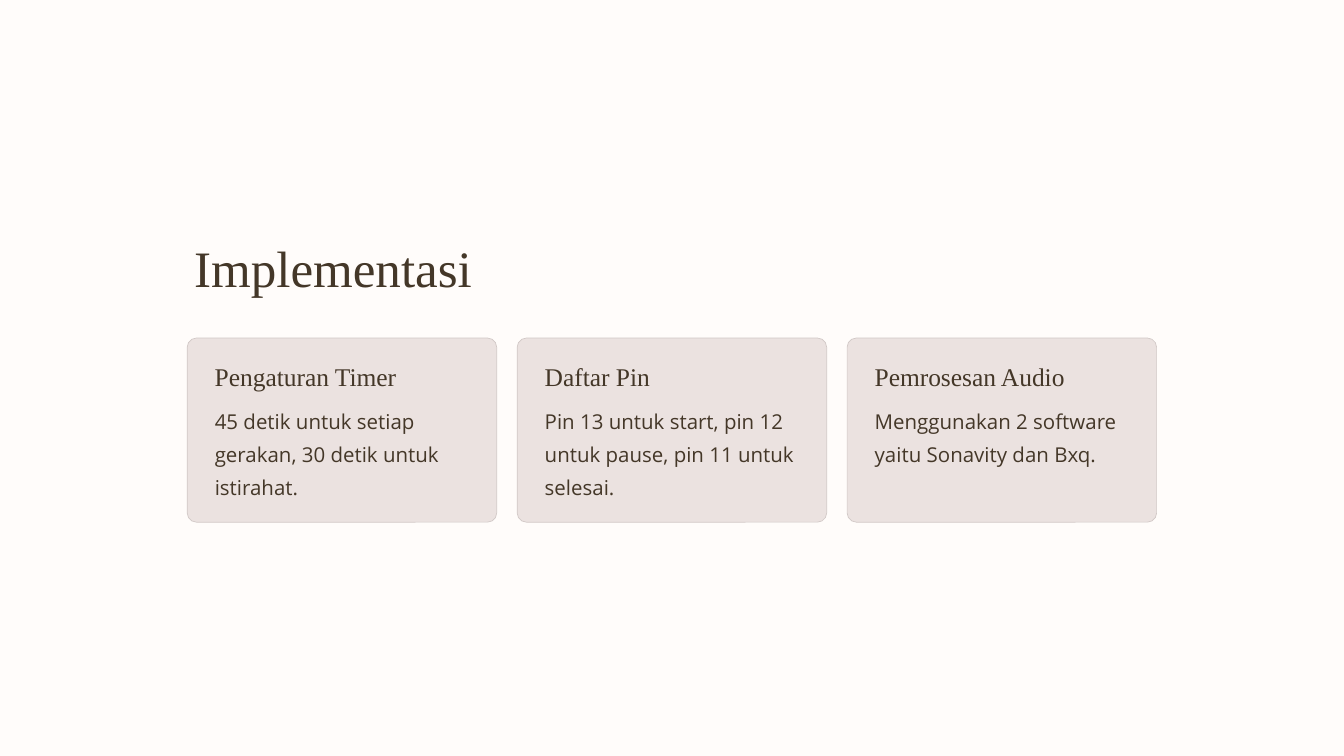
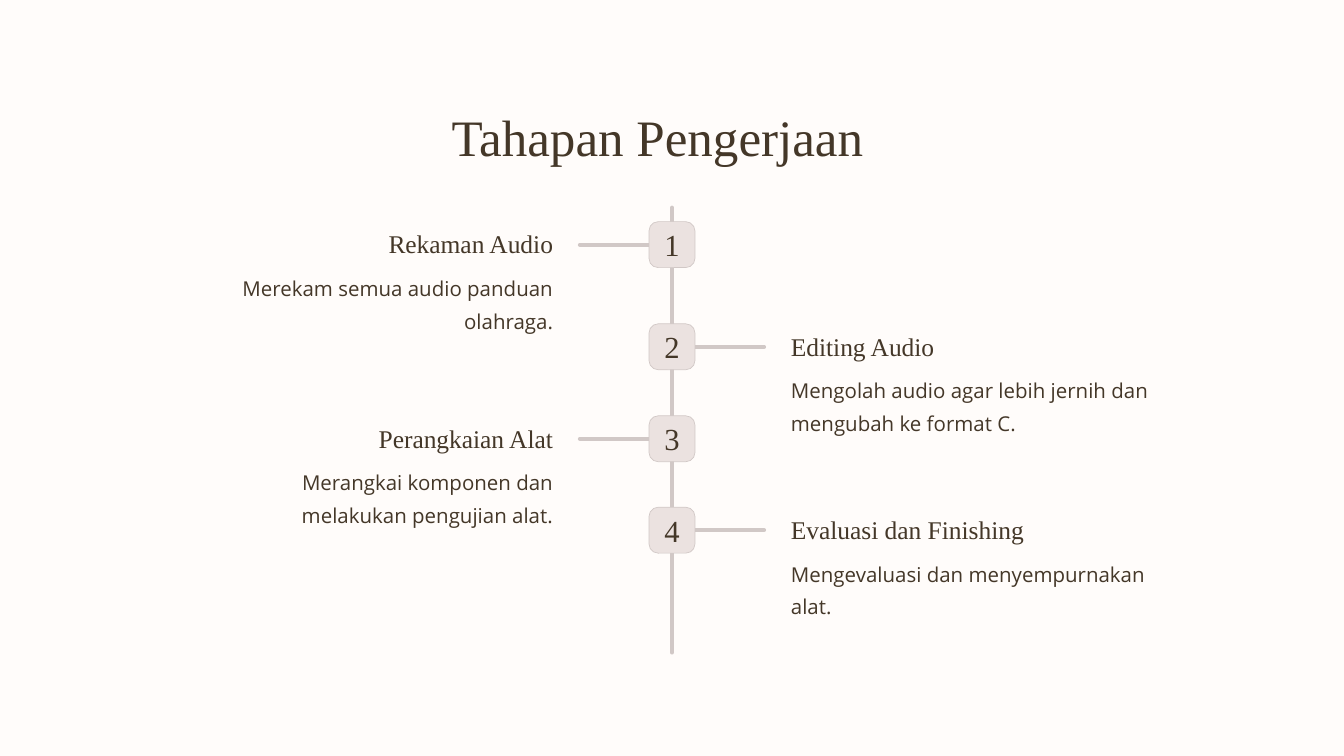
"""Build two slides: the implementation cards and the timeline of work stages."""
from lxml import etree
from pptx import Presentation, util as u
from pptx.dml.color import RGBColor
from pptx.enum import shapes, text
from pptx.oxml import ns

WIDTH, HEIGHT = u.Inches(20), u.Inches(11.25)
COLORS = {"background": "FFFCFA", "panel": "EBE2E0", "line": "D1C8C6", "ink": "443728"}
SERIF, SANS = "Times New Roman", "Open Sans"
STYLES = {
    "title": (SERIF, 54.7, 68.3),
    "heading": (SERIF, 27.3, 34.2),
    "body": (SANS, 21.9, 35),
    "number": (SERIF, 32.8, 41),
}
LEFT, CENTER, RIGHT = text.PP_ALIGN.LEFT, text.PP_ALIGN.CENTER, text.PP_ALIGN.RIGHT

HEADING_WIDTH, HEADING_HEIGHT, BODY_DROP = 18, 3.64, 5.42
CARD_LEFT, CARD_TOP, CARD_WIDTH, CARD_HEIGHT, CARD_PITCH = 13.93, 44.71, 23.03, 24.36, 24.55
CARD_PAD_X, CARD_PAD_Y, CARD_BODY_WIDTH = 2.05, 2.93, 18.9
AXIS, TILE_WIDTH, TILE_HEIGHT = 50, 3.42, 6.08
BRANCH_REACH, TEXT_REACH, STAGE_BODY_WIDTH = 6.85, 8.85, 26.7

CARDS = [
    ("Pengaturan Timer", "45 detik untuk setiap gerakan, 30 detik untuk istirahat."),
    ("Daftar Pin", "Pin 13 untuk start, pin 12 untuk pause, pin 11 untuk selesai."),
    ("Pemrosesan Audio", "Menggunakan 2 software yaitu Sonavity dan Bxq."),
]
STAGES = [
    (32.36, "Rekaman Audio", "Merekam semua audio panduan olahraga."),
    (45.87, "Editing Audio", "Mengolah audio agar lebih jernih dan mengubah ke format C."),
    (58.04, "Perangkaian Alat", "Merangkai komponen dan melakukan pengujian alat."),
    (70.13, "Evaluasi dan Finishing", "Mengevaluasi dan menyempurnakan alat."),
]


def color(name):
    """Return a named colour."""
    return RGBColor.from_string(COLORS[name])


def col(share):
    """Turn a percentage of the slide width into a length."""
    return u.Emu(round(WIDTH * share / 100))


def row(share):
    """Turn a percentage of the slide height into a length."""
    return u.Emu(round(HEIGHT * share / 100))


def write(frame, words, style, align):
    """Fill a text frame with one styled paragraph."""
    frame.margin_left = frame.margin_right = frame.margin_top = frame.margin_bottom = 0
    frame.word_wrap = True
    frame.vertical_anchor = text.MSO_ANCHOR.TOP
    frame.text = words
    paragraph = frame.paragraphs[0]
    family, size, spacing = STYLES[style]
    paragraph.alignment, paragraph.line_spacing = align, u.Pt(spacing)
    font = paragraph.runs[0].font
    font.name, font.size, font.color.rgb = family, u.Pt(size), color("ink")


def add_label(slide, left, top, width, height, words, style, align=LEFT):
    """Place a text box on the grid."""
    label = slide.shapes.add_textbox(col(left), row(top), col(width), row(height))
    write(label.text_frame, words, style, align)


def add_panel(slide, left, top, width, height, corner):
    """Place a rounded panel with a thin outline."""
    panel = slide.shapes.add_shape(
        shapes.MSO_SHAPE.ROUNDED_RECTANGLE, col(left), row(top), col(width), row(height))
    panel.adjustments[0] = corner
    panel.shadow.inherit = False
    panel.fill.solid()
    panel.fill.fore_color.rgb = color("panel")
    panel.line.color.rgb = color("line")
    panel.line.width = u.Pt(0.75)
    return panel


def add_rule(slide, x1, y1, x2, y2):
    """Draw a thick line with round ends."""
    rule = slide.shapes.add_connector(
        shapes.MSO_CONNECTOR.STRAIGHT, col(x1), row(y1), col(x2), row(y2))
    rule.line.color.rgb = color("line")
    rule.line.width = u.Pt(4.4)
    rule.line._get_or_add_ln().set("cap", "rnd")
    etree.SubElement(rule._element.spPr, ns.qn("a:effectLst"))
    return rule


def add_entry(slide, edge, top, body_width, heading, body, align=LEFT):
    """Write a heading above its body, both aligned to one edge."""
    shift = 1 if align == RIGHT else 0
    add_label(slide, edge - shift * HEADING_WIDTH, top, HEADING_WIDTH, HEADING_HEIGHT,
              heading, "heading", align)
    add_label(slide, edge - shift * body_width, top + BODY_DROP, body_width, 8.53,
              body, "body", align)


def add_card(slide, index, heading, body):
    """Place one card of the row."""
    left = CARD_LEFT + index * CARD_PITCH
    add_panel(slide, left, CARD_TOP, CARD_WIDTH, CARD_HEIGHT, 0.05)
    add_entry(slide, left + CARD_PAD_X, CARD_TOP + CARD_PAD_Y, CARD_BODY_WIDTH, heading, body)


def add_stage(slide, number, middle, heading, body):
    """Place a numbered tile with its branch and text, odd stages to the left."""
    side, align, site = (-1, RIGHT, 1) if number % 2 else (1, LEFT, 3)
    branch = add_rule(slide, AXIS + side * BRANCH_REACH, middle,
                      AXIS + side * TILE_WIDTH / 2, middle)
    tile = add_panel(slide, AXIS - TILE_WIDTH / 2, middle - TILE_HEIGHT / 2,
                     TILE_WIDTH, TILE_HEIGHT, 0.2)
    branch.end_connect(tile, site)
    write(tile.text_frame, str(number), "number", CENTER)
    add_entry(slide, AXIS + side * TEXT_REACH, middle - 2.31, STAGE_BODY_WIDTH,
              heading, body, align)


def add_slide(deck, title, left, top):
    """Add a slide with the shared background and title style."""
    slide = deck.slides.add_slide(deck.slide_layouts[6])
    slide.background.fill.solid()
    slide.background.fill.fore_color.rgb = color("background")
    add_label(slide, left, top, 36.95, 7.91, title, "title")
    return slide


def main():
    """Build and save the deck."""
    deck = Presentation()
    deck.slide_width, deck.slide_height = WIDTH, HEIGHT

    implementation = add_slide(deck, "Implementasi", 14.45, 30.93)
    for index, card in enumerate(CARDS):
        add_card(implementation, index, *card)

    timeline = add_slide(deck, "Tahapan Pengerjaan", 33.6, 13.6)
    add_rule(timeline, AXIS, 27.47, AXIS, 86.31)
    for number, stage in enumerate(STAGES, 1):
        add_stage(timeline, number, *stage)

    deck.save("out.pptx")


if __name__ == "__main__":
    main()
